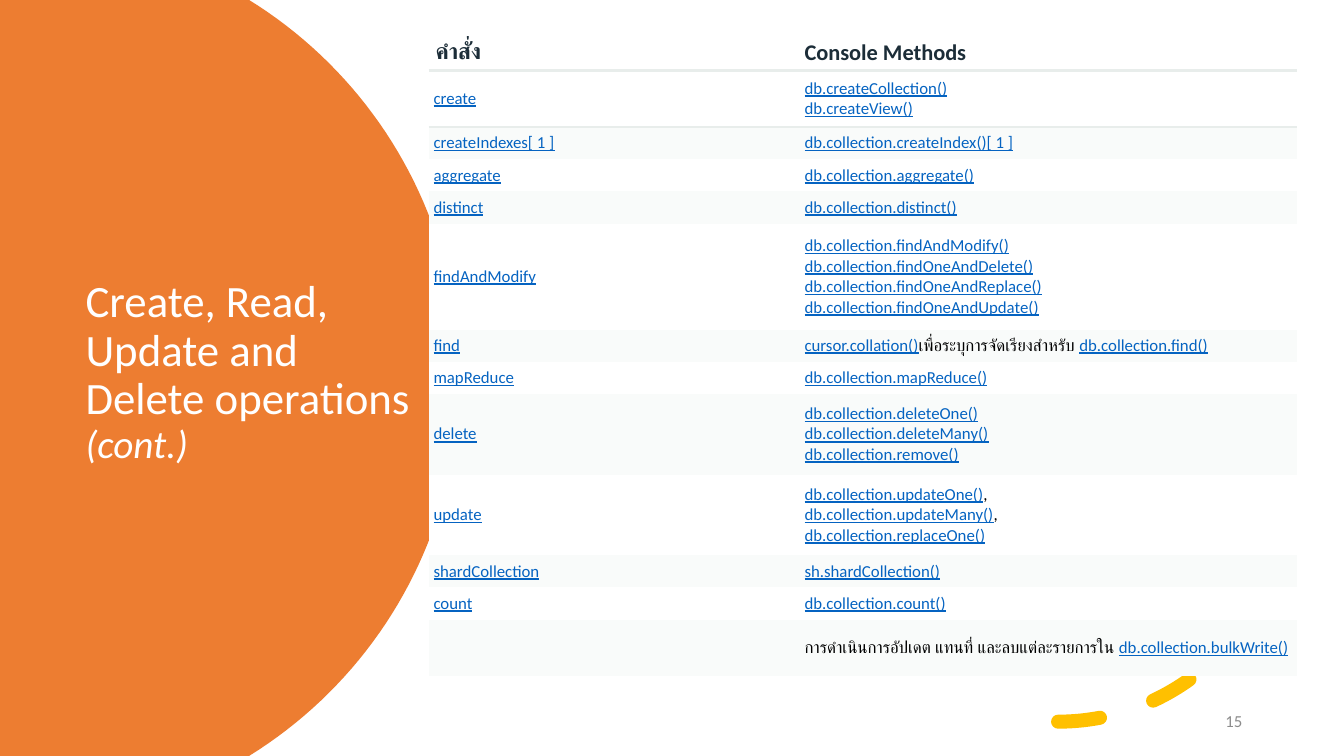
from math import asin, cos, sin
from pptx import Presentation
from pptx.dml.color import RGBColor
from pptx.enum.dml import MSO_LINE
from pptx.enum.shapes import MSO_SHAPE
from pptx.enum.text import MSO_ANCHOR, PP_ALIGN
from pptx.oxml import parse_xml
from pptx.oxml.ns import nsdecls, qn
from pptx.util import Inches, Pt

WIDE, HIGH = 13.33, 7.5
LINK = {"size": Pt(12), "color": "0563C1", "underline": True}
PLAIN = {"size": Pt(12), "color": "000000"}
HEAD = {"size": Pt(16), "color": "1C2D38", "bold": True}
TITLE = [
    ("Create, Read, Update and Delete operations ", {"size": Pt(32), "color": "FFFFFF"}),
    ("(cont.)", {"size": Pt(28), "color": "FFFFFF", "italic": True}),
]
PAGE = [("15", {"size": Pt(12), "color": "8C8C8C"})]
HEADS = ["คำสั่ง", "Console Methods"]
ROWS = [
    (0.56, "create", ["db.createCollection()", "db.createView()"]),
    (0.32, "createIndexes[\u00a01\u00a0]", ["db.collection.createIndex()[\u00a01\u00a0]"]),
    (0.32, "aggregate", ["db.collection.aggregate()"]),
    (0.32, "distinct", ["db.collection.distinct()"]),
    (1.05, "findAndModify", [
        "db.collection.findAndModify()", "db.collection.findOneAndDelete()",
        "db.collection.findOneAndReplace()", "db.collection.findOneAndUpdate()"]),
    (0.32, "find", ["cursor.collation()|~เพื่อระบุการจัดเรียงสำหรับ\u00a0|db.collection.find()"]),
    (0.32, "mapReduce", ["db.collection.mapReduce()"]),
    (0.8, "delete", [
        "db.collection.deleteOne()", "db.collection.deleteMany()", "db.collection.remove()"]),
    (0.8, "update", [
        "db.collection.updateOne()|~,", "db.collection.updateMany()|~,",
        "db.collection.replaceOne()"]),
    (0.32, "shardCollection", ["sh.shardCollection()"]),
    (0.32, "count", ["db.collection.count()"]),
    (0.56, "", ["~การดำเนินการอัปเดต แทนที่ และลบแต่ละรายการใน\u00a0|db.collection.bulkWrite()"]),
]
COLS = [3.66, 4.95]
BANDS = ["FFFFFF", "F9FBFA"]
NOGRID = "{2D5ABB26-0587-4C30-8999-92F81FD0307C}"


def paint(fill, tone):
    fill.solid()
    fill.fore_color.rgb = RGBColor.from_string(tone)


def write(para, runs):
    for text, look in runs:
        run = para.add_run()
        run.text = text
        run.font.name = "Calibri"
        for key, val in look.items():
            if key == "color":
                paint(run.font.fill, val)
            else:
                setattr(run.font, key, val)


def label(box, runs, **form):
    frame = slide.shapes.add_textbox(*map(Inches, box)).text_frame
    frame.word_wrap = True
    frame.vertical_anchor = MSO_ANCHOR.MIDDLE
    para = frame.paragraphs[0]
    for key, val in form.items():
        setattr(para, key, val)
    write(para, runs)


def split(line):
    return [(part[1:], PLAIN) if part[0] == "~" else (part, LINK)
            for part in line.split("|")]


def fill_cell(cell, lines, left):
    cell.vertical_anchor = MSO_ANCHOR.MIDDLE
    cell.margin_left, cell.margin_right = Inches(left), Inches(0.07)
    cell.margin_top = cell.margin_bottom = Inches(0.03)
    frame = cell.text_frame
    for n, runs in enumerate(lines):
        write(frame.add_paragraph() if n else frame.paragraphs[0], runs)


def edge(cell, side):
    cell._tc.get_or_add_tcPr().insert(0, parse_xml(
        f'<a:{side} {nsdecls("a")} w="{Pt(2.25)}"><a:solidFill>'
        f'<a:srgbClr val="E8EDEB"/></a:solidFill></a:{side}>'))


deck = Presentation()
deck.slide_width, deck.slide_height = Inches(WIDE), Inches(HIGH)
slide = deck.slides.add_slide(deck.slide_layouts[6])

mid, hub, rad, steps = HIGH / 2, 0.15, 4.41, 80
span = asin(mid / rad)
turns = [span * (2 * n / steps - 1) for n in range(steps + 1)]
curve = [(Inches(hub + rad * cos(t)), Inches(mid + rad * sin(t))) for t in turns]
pen = slide.shapes.build_freeform(0, 0)
pen.add_line_segments(curve + [(0, Inches(HIGH))], close=True)
disc = pen.convert_to_shape()
disc.shadow.inherit = False
paint(disc.fill, "ED7D31")
disc.line.fill.background()

label((0.75, 1.26, 3.5, 4.88), TITLE, line_spacing=0.9)

arc = slide.shapes.add_shape(MSO_SHAPE.ARC, *map(Inches, (8.26, 2.69, 4.47, 4.47)))
arc.shadow.inherit = False
arc.fill.background()
paint(arc.line.fill, "FFC000")
arc.line.width = Pt(10)
arc.line.dash_style = MSO_LINE.DASH
arc.line._get_or_add_ln().set("cap", "rnd")
arc._element.spPr.find(qn("a:xfrm")).set("flipV", "1")

grid = slide.shapes.add_table(
    len(ROWS) + 1, len(COLS), *map(Inches, (4.25, 0.35, sum(COLS), 6.38))).table
grid.first_row = grid.horz_banding = False
grid._tbl.tblPr.find(qn("a:tableStyleId")).text = NOGRID
for col, wide in zip(grid.columns, COLS):
    col.width = Inches(wide)
grid.rows[0].height = Inches(0.35)
for c, head in enumerate(HEADS):
    fill_cell(grid.cell(0, c), [[(head, HEAD)]], 0.07)
    edge(grid.cell(0, c), "lnB")
    edge(grid.cell(1, c), "lnT")
for r, (high, name, calls) in enumerate(ROWS, 1):
    grid.rows[r].height = Inches(high)
    sides = [([name] if name else [], 0.05), (calls, 0.07)]
    for c, (lines, left) in enumerate(sides):
        cell = grid.cell(r, c)
        fill_cell(cell, map(split, lines), left)
        paint(cell.fill, BANDS[(r - 1) % 2])

label((9.42, 6.95, 3, 0.4), PAGE, alignment=PP_ALIGN.RIGHT)
deck.save("out.pptx")
